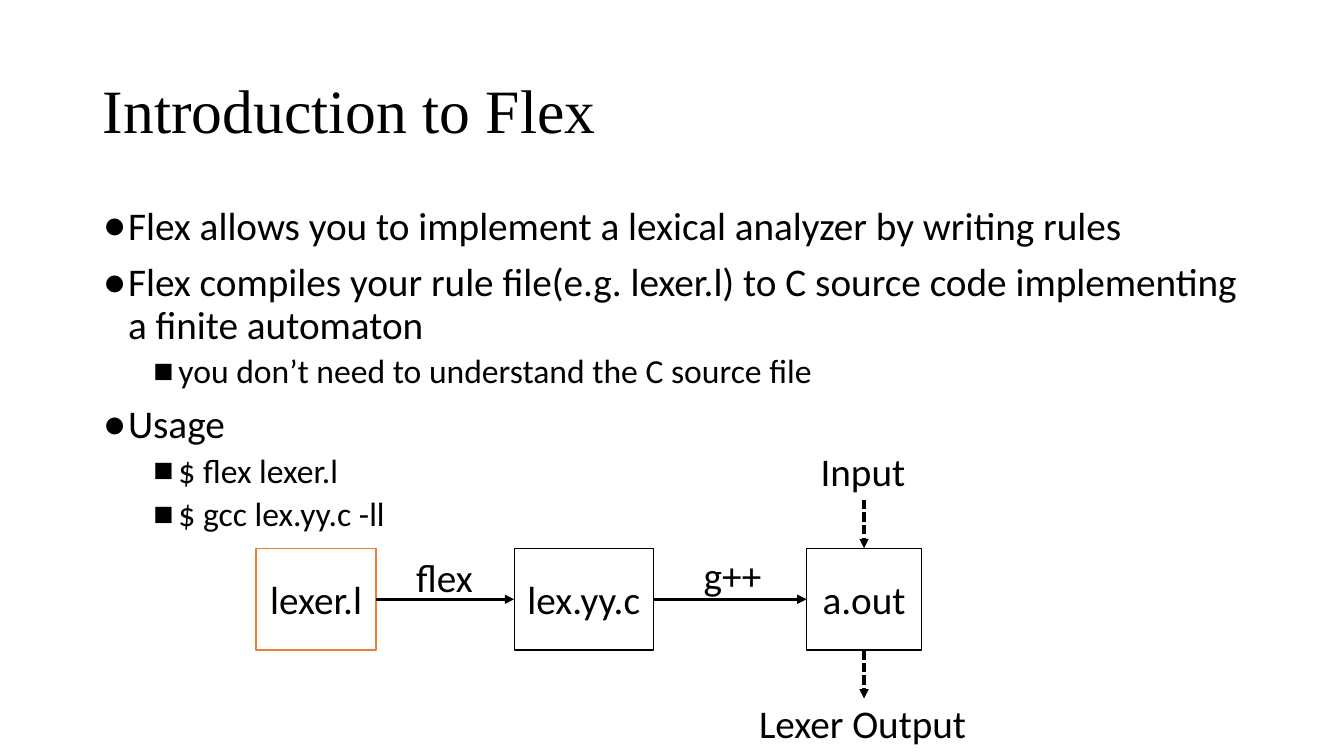
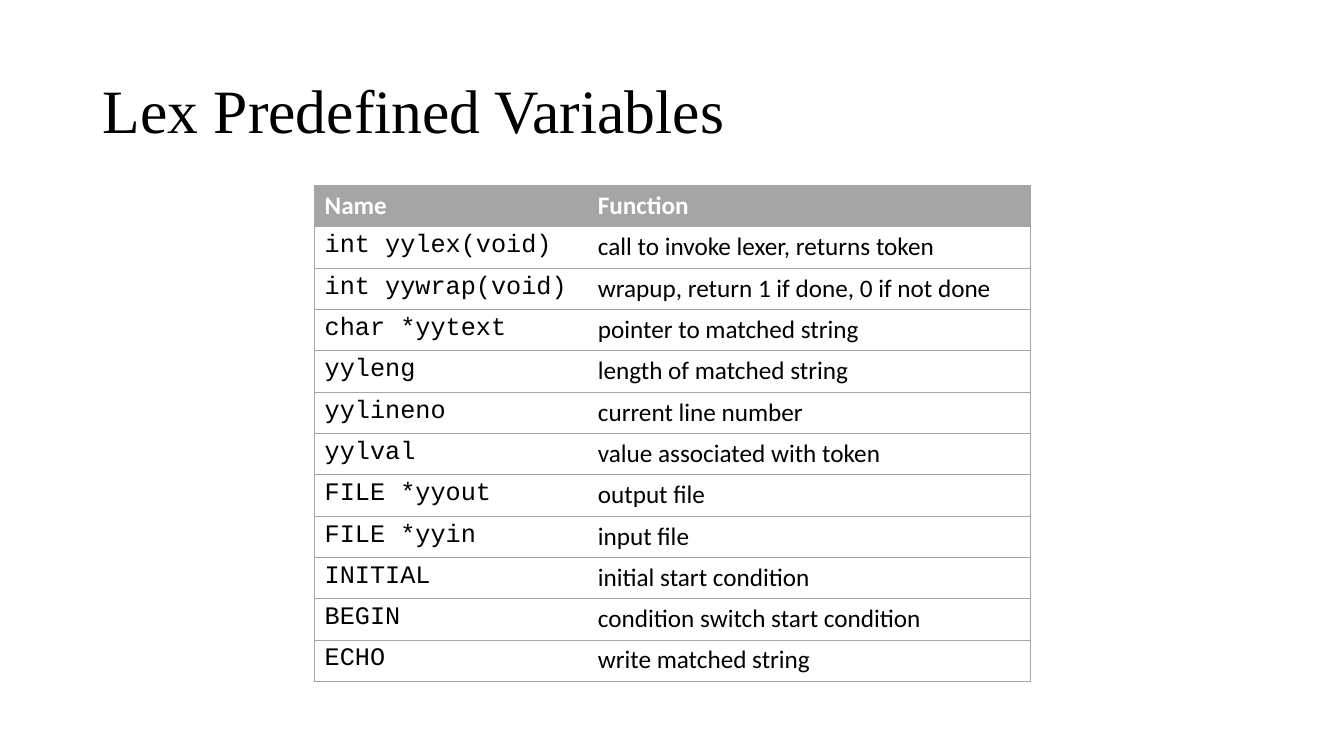
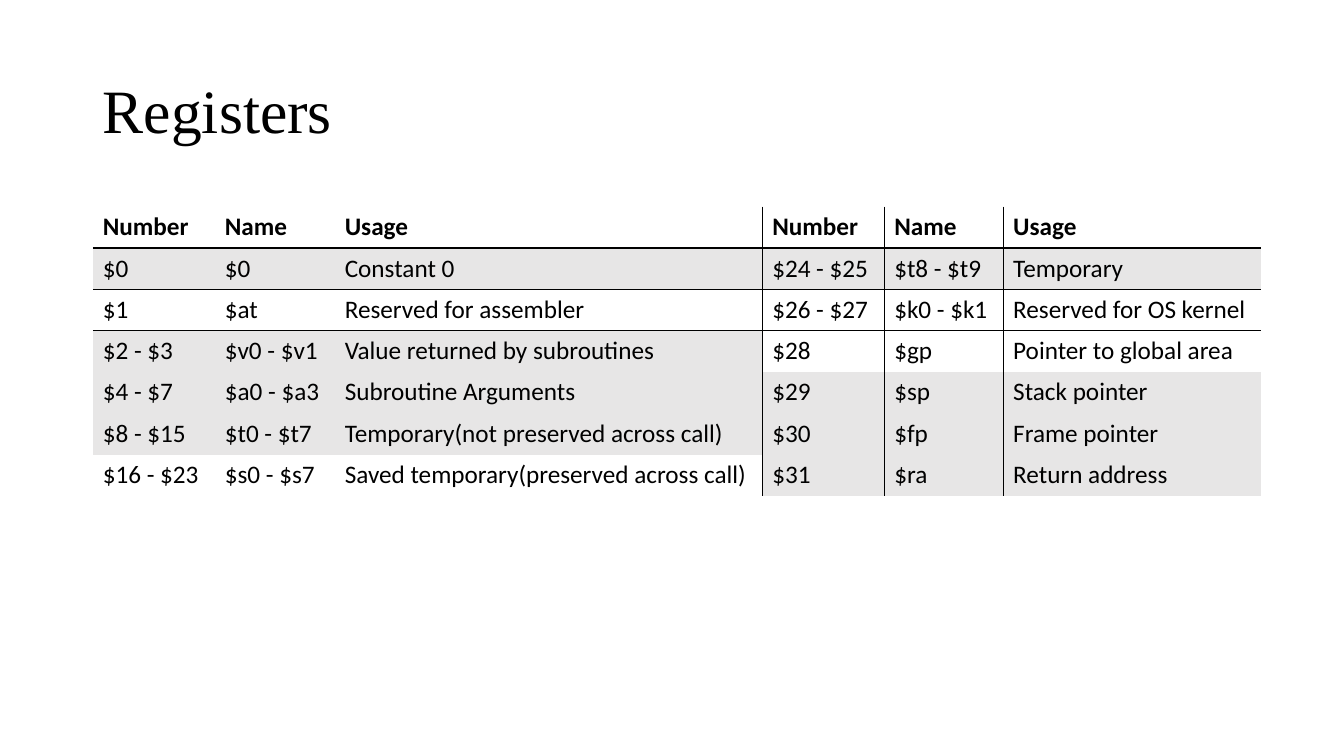
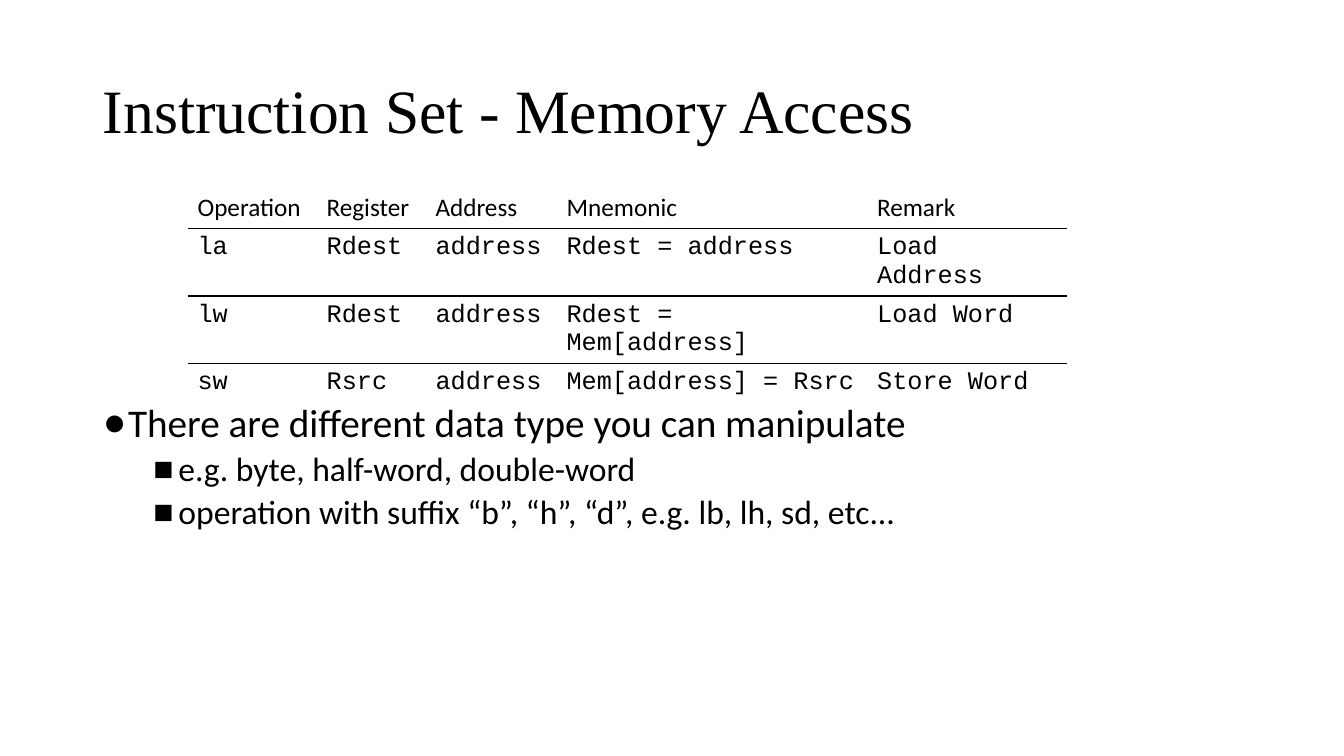
from itertools import product
from lxml.etree import SubElement
from pptx import Presentation
from pptx.dml.color import RGBColor
from pptx.enum.dml import MSO_LINE
from pptx.enum.shapes import MSO_CONNECTOR, MSO_SHAPE
from pptx.enum.text import MSO_ANCHOR, MSO_AUTO_SIZE, PP_ALIGN
from pptx.oxml import parse_xml
from pptx.oxml.ns import nsdecls, qn
from pptx.util import Inches, Pt

BLACK = RGBColor(0x00, 0x00, 0x00)
WHITE = RGBColor(0xFF, 0xFF, 0xFF)
ORANGE = RGBColor(0xED, 0x7D, 0x31)
GRAY = RGBColor(0xA5, 0xA5, 0xA5)
SHADE = RGBColor(0xE7, 0xE6, 0xE6)
SANS, SERIF, MONO = "Calibri", "Times New Roman", "Courier New"
NO_STYLE = "{2D5ABB26-0587-4C30-8999-92F81FD0307C}"

FLEX_POINTS = [
    (0, "Flex allows you to implement a lexical analyzer by writing rules"),
    (0, "Flex compiles your rule file(e.g. lexer.l) to C source code implementing a finite automaton"),
    (1, "you don’t need to understand the C source file"),
    (0, "Usage"),
    (1, "$ flex lexer.l"),
    (1, "$ gcc lex.yy.c -ll"),
]
STAGES = [("lexer.l", 2.54, 1.19, ORANGE), ("lex.yy.c", 5.1, 1.38, BLACK), ("a.out", 8, 1.14, BLACK)]
LABELS = [("flex", 4.03, 5.44, 0.77), ("g++", 6.88, 5.42, 0.78),
          ("Input", 8.04, 4.39, 1.05), ("Lexer Output", 7.43, 6.89, 2.28)]
STAGE_TOP, STAGE_H, IO_ARROW = 5.44, 1.01, 0.48

VARIABLES = [
    ("Name", "Function"),
    ("int yylex(void)", "call to invoke lexer, returns token"),
    ("int yywrap(void)", "wrapup, return 1 if done, 0 if not done"),
    ("char *yytext", "pointer to matched string"),
    ("yyleng", "length of matched string"),
    ("yylineno", "current line number"),
    ("yylval", "value associated with token"),
    ("FILE *yyout", "output file"),
    ("FILE *yyin", "input file"),
    ("INITIAL", "initial start condition"),
    ("BEGIN", "condition switch start condition"),
    ("ECHO", "write matched string"),
]
REGISTERS = [
    ("Number", "Name", "Usage", "Number", "Name", "Usage"),
    ("$0", "$0", "Constant 0", "$24 - $25", "$t8 - $t9", "Temporary"),
    ("$1", "$at", "Reserved for assembler", "$26 - $27", "$k0 - $k1", "Reserved for OS kernel"),
    ("$2 - $3", "$v0 - $v1", "Value returned by subroutines", "$28", "$gp", "Pointer to global area"),
    ("$4 - $7", "$a0 - $a3", "Subroutine Arguments", "$29", "$sp", "Stack pointer"),
    ("$8 - $15", "$t0 - $t7", "Temporary(not preserved across call)", "$30", "$fp", "Frame pointer"),
    ("$16 - $23", "$s0 - $s7", "Saved temporary(preserved across call)", "$31", "$ra", "Return address"),
]
SHADED_LEFT, SHADED_RIGHT = {1, 3, 4, 5}, {1, 4, 5, 6}
MEMORY = [
    ("Operation", "Register", "Address", "Mnemonic", "Remark"),
    ("la", "Rdest", "address", "Rdest = address", "Load Address"),
    ("lw", "Rdest", "address", "Rdest = Mem[address]", "Load Word"),
    ("sw", "Rsrc", "address", "Mem[address] = Rsrc", "Store Word"),
]
MEMORY_POINTS = [
    (0, "There are different data type you can manipulate"),
    (1, "e.g. byte, half-word, double-word"),
    (1, "operation with suffix “b”, “h”, “d”, e.g. lb, lh, sd, etc..."),
]
LEVELS = [
    {"size": 28, "before": 10, "margin": 0.25, "bullet": "●"},
    {"size": 24, "before": 5, "margin": 0.75, "bullet": "■"},
]


def set_attrs(obj, **values):
    for name, value in values.items():
        setattr(obj, name, value)


def place(s, left, top, width, height):
    set_attrs(s, left=Inches(left), top=Inches(top), width=Inches(width), height=Inches(height))


def write(p, text, size, font=SANS, color=BLACK, bold=False):
    r = p.add_run()
    r.text = text
    set_attrs(r.font, name=font, size=Pt(size), bold=bold)
    r.font.color.rgb = color


def new_slide(title, layout):
    s = prs.slides.add_slide(prs.slide_layouts[layout])
    sp = s.shapes.title
    place(sp, 0.92, 0.4, 11.5, 1.45)
    set_attrs(sp.text_frame, vertical_anchor=MSO_ANCHOR.MIDDLE, auto_size=MSO_AUTO_SIZE.NONE)
    p = sp.text_frame.paragraphs[0]
    set_attrs(p, alignment=PP_ALIGN.LEFT, line_spacing=0.9)
    write(p, title, 44, SERIF)
    return s


def fill_body(s, points, top, height):
    sp = s.placeholders[1]
    place(sp, 0.92, top, 11.5, height)
    tf = sp.text_frame
    set_attrs(tf, auto_size=MSO_AUTO_SIZE.NONE, vertical_anchor=MSO_ANCHOR.TOP)
    for i, (level, text) in enumerate(points):
        p = tf.add_paragraph() if i else tf.paragraphs[0]
        style = LEVELS[level]
        set_attrs(p, level=level, line_spacing=0.9, space_before=Pt(style["before"]))
        pPr = p._p.get_or_add_pPr()
        pPr.set("marL", str(Inches(style["margin"])))
        pPr.set("indent", str(Inches(-0.25)))
        SubElement(pPr, qn("a:buFont")).set("typeface", "Arial")
        SubElement(pPr, qn("a:buChar")).set("char", style["bullet"])
        write(p, text, style["size"])


def add_stage(s, text, left, width, color):
    sp = s.shapes.add_shape(MSO_SHAPE.RECTANGLE, Inches(left), Inches(STAGE_TOP), Inches(width), Inches(STAGE_H))
    sp.shadow.inherit = False
    sp.fill.solid()
    sp.fill.fore_color.rgb = WHITE
    sp.line.color.rgb = color
    sp.line.width = Pt(1)
    set_attrs(sp.text_frame, word_wrap=False, vertical_anchor=MSO_ANCHOR.MIDDLE)
    p = sp.text_frame.paragraphs[0]
    p.alignment = PP_ALIGN.CENTER
    write(p, text, 28)
    return sp


def add_label(s, text, left, top, width):
    tf = s.shapes.add_textbox(Inches(left), Inches(top), Inches(width), Inches(0.57)).text_frame
    set_attrs(tf, word_wrap=False, auto_size=MSO_AUTO_SIZE.SHAPE_TO_FIT_TEXT)
    write(tf.paragraphs[0], text, 28)


def add_arrow(s, x1, y1, x2, y2, dash=None):
    c = s.shapes.add_connector(MSO_CONNECTOR.STRAIGHT, x1, y1, x2, y2)
    c.line.color.rgb = BLACK
    set_attrs(c.line, width=Pt(2.25), dash_style=dash)
    SubElement(c.line._get_or_add_ln(), qn("a:tailEnd")).set("type", "triangle")
    SubElement(c._element.spPr, qn("a:effectLst"))
    return c


def add_grid(s, rows, left, top, widths, style, h_lines, v_lines=(), line=(BLACK, 1)):
    color, weight = line
    frame = s.shapes.add_table(len(rows), len(widths), Inches(left), Inches(top),
                               Inches(sum(widths)), Inches(0.41 * len(rows)))
    tbl = frame.table
    set_attrs(tbl, first_row=False, horz_banding=False)
    tbl._tbl.tblPr.find(qn("a:tableStyleId")).text = NO_STYLE
    for col, width in zip(tbl.columns, widths):
        col.width = Inches(width)
    for row in tbl.rows:
        row.height = Inches(0.41)
    for r, c in product(range(len(rows)), range(len(widths))):
        cell = tbl.cell(r, c)
        fill, text_style = style(r, c)
        write(cell.text_frame.paragraphs[0], rows[r][c], 18, **text_style)
        cell.fill.solid()
        cell.fill.fore_color.rgb = fill
        edges = [("L", c in v_lines), ("R", c + 1 in v_lines), ("T", r in h_lines), ("B", r + 1 in h_lines)]
        drawn = [side for side, on in edges if on]
        for i, side in enumerate(drawn):
            cell._tc.get_or_add_tcPr().insert(i, parse_xml(
                f'<a:ln{side} {nsdecls("a")} w="{Pt(weight)}"><a:solidFill>'
                f'<a:srgbClr val="{color}"/></a:solidFill></a:ln{side}>'))


def variable_style(r, c):
    if r == 0:
        return GRAY, {"color": WHITE, "bold": True}
    return WHITE, {"font": SANS if c else MONO}


def register_style(r, c):
    shaded = r in (SHADED_LEFT if c < 3 else SHADED_RIGHT)
    return SHADE if shaded else WHITE, {"bold": r == 0}


def memory_style(r, c):
    return WHITE, {"font": MONO if r else SANS}


prs = Presentation()
set_attrs(prs, slide_width=Inches(13.33), slide_height=Inches(7.5))

s = new_slide("Introduction to Flex", 1)
fill_body(s, FLEX_POINTS, 2, 4.71)
stages = [add_stage(s, *stage) for stage in STAGES]
for a, b in zip(stages, stages[1:]):
    arrow = add_arrow(s, 0, 0, 0, 0)
    arrow.begin_connect(a, 3)
    arrow.end_connect(b, 1)
program = stages[-1]
middle = program.left + program.width // 2
for start in (program.top - Inches(IO_ARROW), program.top + program.height):
    add_arrow(s, middle, start, middle, start + Inches(IO_ARROW), MSO_LINE.SQUARE_DOT)
for label in LABELS:
    add_label(s, *label)

s = new_slide("Lex Predefined Variables", 5)
add_grid(s, VARIABLES, 3.12, 1.84, [2.71, 4.39], variable_style,
         range(len(VARIABLES) + 1), (0, 2), (GRAY, 0.5))

s = new_slide("Registers", 5)
add_grid(s, REGISTERS, 0.92, 2.05, [1.21, 1.19, 4.24, 1.21, 1.18, 2.56], register_style, (1, 2), (3, 4))

s = new_slide("Instruction Set - Memory Access", 1)
add_grid(s, MEMORY, 1.86, 1.86, [1.28, 1.08, 1.3, 3.08, 1.98], memory_style, (1, 2))
fill_body(s, MEMORY_POINTS, 3.95, 1.41)

prs.save("out.pptx")
